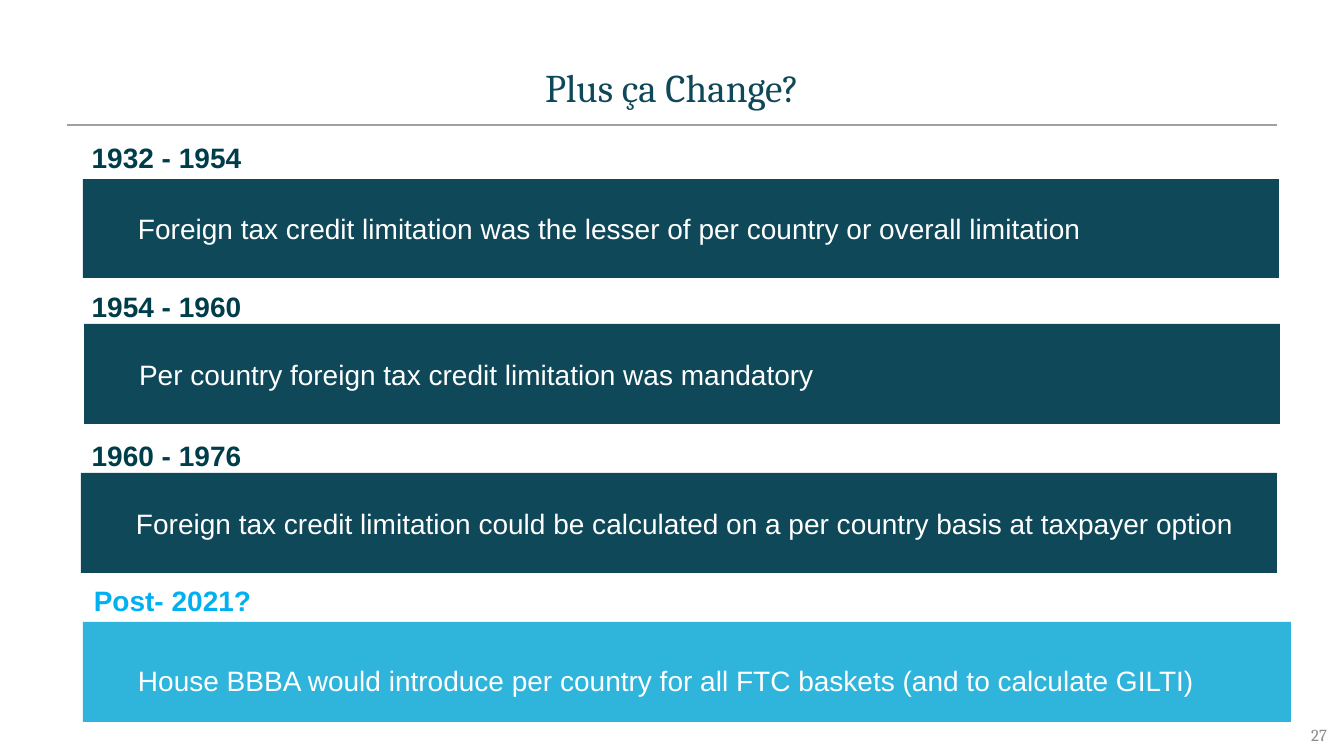
"""Build the slide on the history of the foreign tax credit limitation."""
from lxml.etree import SubElement
from pptx import Presentation
from pptx.dml.color import RGBColor
from pptx.enum.shapes import MSO_CONNECTOR, MSO_SHAPE
from pptx.enum.text import MSO_ANCHOR as Anchor, PP_ALIGN as Align
from pptx.oxml.ns import qn
from pptx.util import Emu, Pt

SCALE = 914400 / 100.8
TEAL = RGBColor(0x0F, 0x48, 0x59)
DARK_TEAL = RGBColor(0x00, 0x3D, 0x4B)
SKY = RGBColor(0x2F, 0xB4, 0xDC)
BRIGHT_BLUE = RGBColor(0x00, 0xB0, 0xF0)
RULE_GREY = RGBColor(0xA0, 0xA0, 0xA0)
NUMBER_GREY = RGBColor(0x8C, 0x8C, 0x8C)
WHITE = RGBColor(0xFF, 0xFF, 0xFF)

PERIODS = [
    ("1932 - 1954", (81, 135, 171), DARK_TEAL, (83, 179, 1196, 99), TEAL, 0,
     "Foreign tax credit limitation was the lesser of per country or overall limitation"),
    ("1954 - 1960", (81, 284, 171), DARK_TEAL, (84, 324, 1196, 100), TEAL, 0,
     "Per country foreign tax credit limitation was mandatory"),
    ("1960 - 1976", (81, 433, 171), DARK_TEAL, (81, 473, 1196, 100), TEAL, 0,
     "Foreign tax credit limitation could be calculated on a per country basis at taxpayer option"),
    ("Post- 2021?", (83, 578, 179), BRIGHT_BLUE, (83, 622, 1208, 100), SKY, 16,
     "House BBBA would introduce per country for all FTC baskets (and to calculate GILTI)"),
]


def px(length):
    return Emu(round(length * SCALE))


def write(shape, text, size, color, font="Arial", align=Align.CENTER,
          anchor=Anchor.TOP, insets=(10, 5, 10, 5), bold=False, wrap=True):
    frame = shape.text_frame
    frame.word_wrap = wrap
    frame.vertical_anchor = anchor
    (frame.margin_left, frame.margin_top,
     frame.margin_right, frame.margin_bottom) = map(px, insets)
    para = frame.paragraphs[0]
    para.alignment = align
    span = para.add_run()
    span.text = text
    span.font.name = font
    span.font.size = Pt(size)
    span.font.bold = bold
    span.font.color.rgb = color


def add_text(page, area, text, size, color, **style):
    box = page.shapes.add_textbox(*map(px, area))
    write(box, text, size, color, **style)


def add_bar(page, area, fill, text, top_inset):
    bar = page.shapes.add_shape(MSO_SHAPE.RECTANGLE, *map(px, area))
    bar.shadow.inherit = False
    bar.fill.solid()
    bar.fill.fore_color.rgb = fill
    bar.line.fill.background()
    write(bar, text, 20, WHITE, align=Align.LEFT, anchor=Anchor.MIDDLE,
          insets=(55, top_inset, 30, 0))


def add_rule(page, left, right, top):
    rule = page.shapes.add_connector(
        MSO_CONNECTOR.STRAIGHT, px(left), px(top), px(right), px(top))
    rule.line.color.rgb = RULE_GREY
    rule.line.width = Pt(1)
    SubElement(rule._element.spPr, qn("a:effectLst"))


def main():
    deck = Presentation()
    deck.slide_width, deck.slide_height = px(1344), px(756)
    page = deck.slides.add_slide(deck.slide_layouts[6])
    add_rule(page, 67, 1277, 125)
    add_text(page, (67, 58, 1210, 67), "Plus ça Change?", 28, TEAL, font="Cambria")
    for years, (left, top, width), color, area, fill, top_inset, text in PERIODS:
        add_bar(page, area, fill, text, top_inset)
        add_text(page, (left, top, width, 44), years, 20, color, bold=True, wrap=False)
    add_text(page, (1269, 726, 58, 17), "27", 12, NUMBER_GREY, font="Cambria",
             align=Align.RIGHT, anchor=Anchor.MIDDLE, insets=(10, 5, 0, 5))
    deck.save("out.pptx")


if __name__ == "__main__":
    main()
